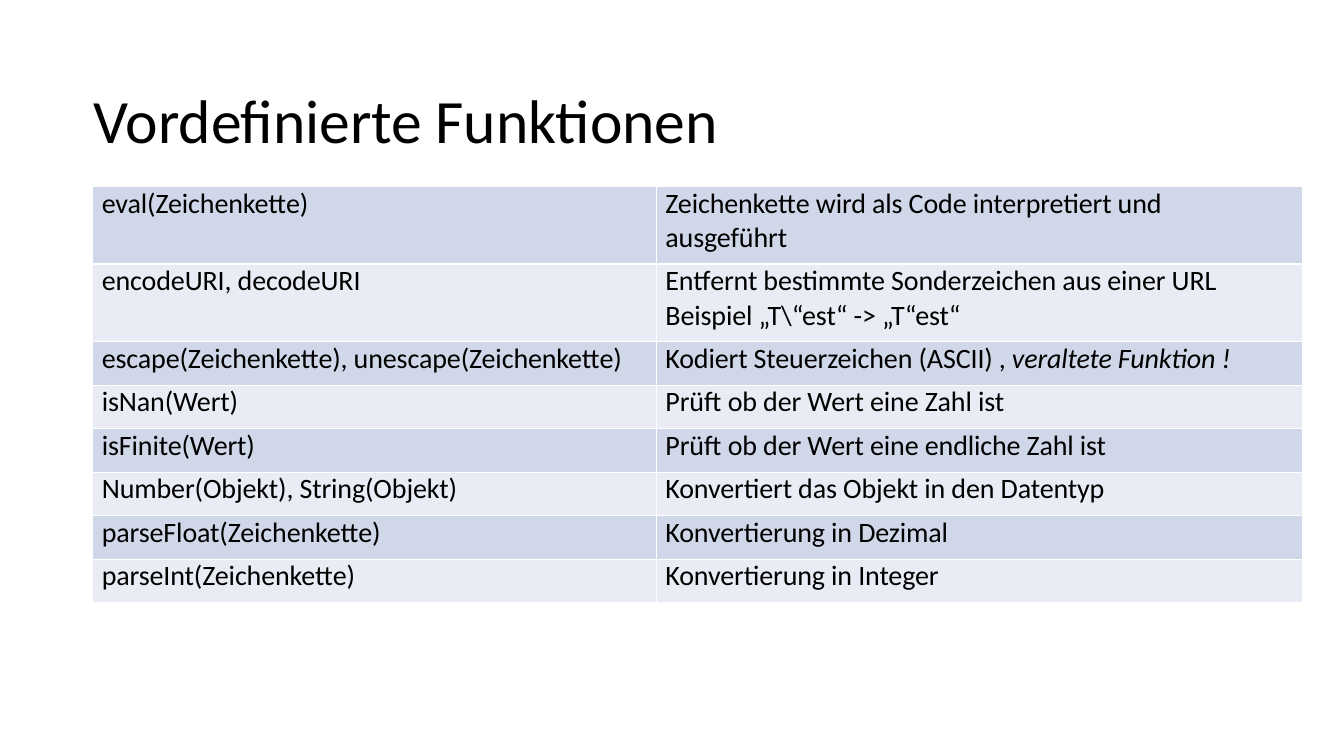
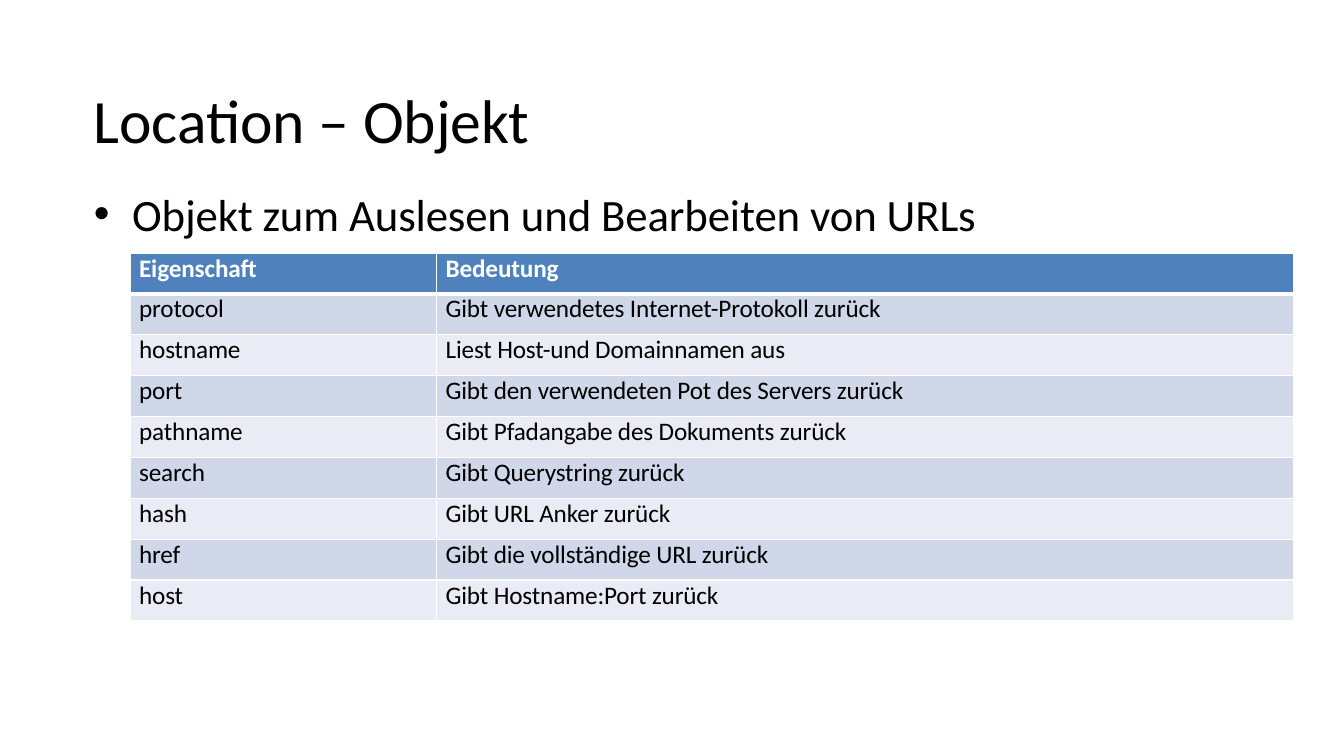
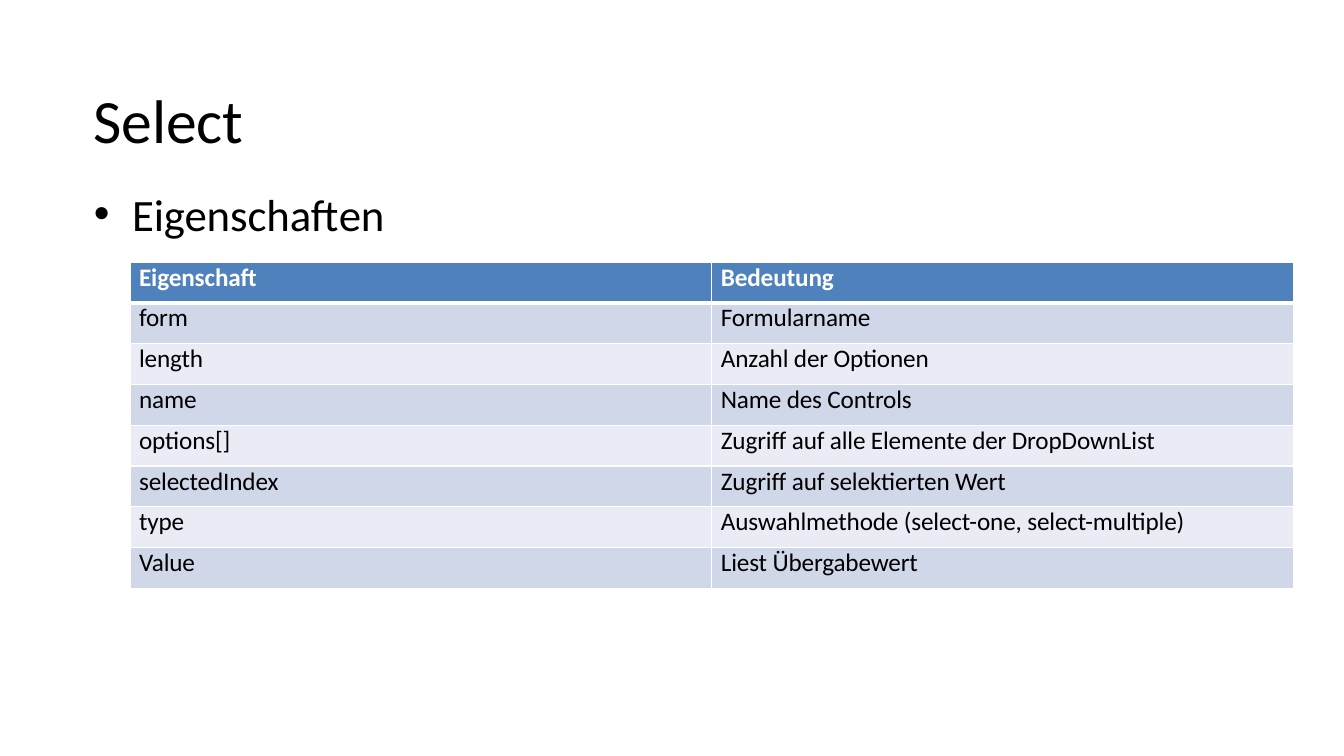
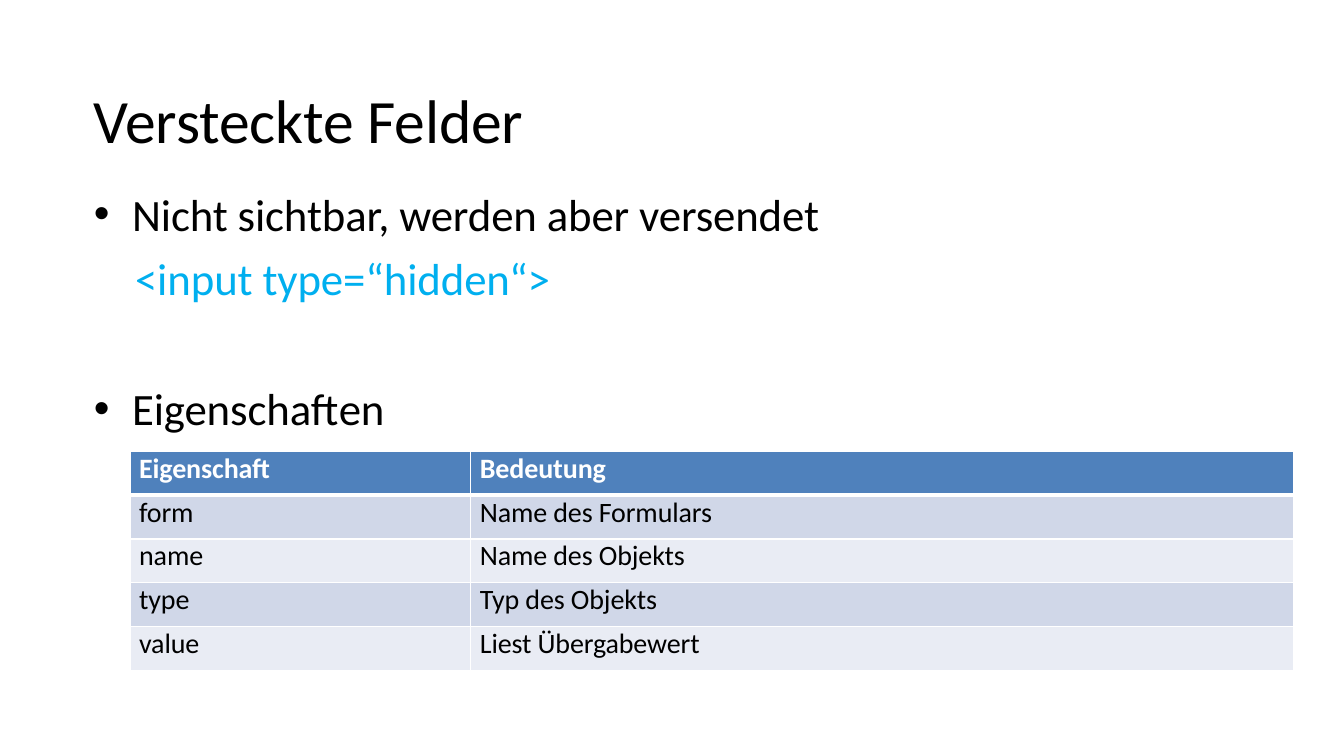
from lxml.etree import SubElement as Sub
from pptx import Presentation
from pptx.dml.color import RGBColor as RGB
from pptx.enum.text import MSO_ANCHOR as Anchor
from pptx.oxml.ns import qn
from pptx.util import Inches, Pt

FONT = "Calibri"
BLACK = RGB(0x00, 0x00, 0x00)
WHITE = RGB(0xFF, 0xFF, 0xFF)
CYAN = RGB(0x00, 0xAF, 0xEF)
BLUE = RGB(0x4F, 0x81, 0xBC)
BANDS = RGB(0xD0, 0xD7, 0xE8), RGB(0xE9, 0xEC, 0xF4)
HEAD = ("Eigenschaft", "Bedeutung")
LEFT, TOP = 0.92, 1.85
TALL = 0.77

FUNCS = [
    ("eval(Zeichenkette)", "Zeichenkette wird als Code interpretiert und\vausgeführt"),
    ("encodeURI, decodeURI",
     "Entfernt bestimmte Sonderzeichen aus einer URL\vBeispiel „T\\“est“ -> „T“est“"),
    ("escape(Zeichenkette), unescape(Zeichenkette)",
     ("Kodiert Steuerzeichen (ASCII) , ", "veraltete Funktion !")),
    ("isNan(Wert)", "Prüft ob der Wert eine Zahl ist"),
    ("isFinite(Wert)", "Prüft ob der Wert eine endliche Zahl ist"),
    ("Number(Objekt), String(Objekt)", "Konvertiert das Objekt in den Datentyp"),
    ("parseFloat(Zeichenkette)", "Konvertierung in Dezimal"),
    ("parseInt(Zeichenkette)", "Konvertierung in Integer"),
]
PLACE = [
    HEAD,
    ("protocol", "Gibt verwendetes Internet-Protokoll zurück"),
    ("hostname", "Liest Host-und Domainnamen aus"),
    ("port", "Gibt den verwendeten Pot des Servers zurück"),
    ("pathname", "Gibt Pfadangabe des Dokuments zurück"),
    ("search", "Gibt Querystring zurück"),
    ("hash", "Gibt URL Anker zurück"),
    ("href", "Gibt die vollständige URL zurück"),
    ("host", "Gibt Hostname:Port zurück"),
]
SELECT = [
    HEAD,
    ("form", "Formularname"),
    ("length", "Anzahl der Optionen"),
    ("name", "Name des Controls"),
    ("options[]", "Zugriff auf alle Elemente der DropDownList"),
    ("selectedIndex", "Zugriff auf selektierten Wert"),
    ("type", "Auswahlmethode (select-one, select-multiple)"),
    ("Value", "Liest Übergabewert"),
]
HIDDEN = [
    HEAD,
    ("form", "Name des Formulars"),
    ("name", "Name des Objekts"),
    ("type", "Typ des Objekts"),
    ("value", "Liest Übergabewert"),
]


def write(para, text, size=32, color=BLACK, bold=False, italic=False):
    """Add text to a paragraph, with a line break at each vertical tab."""
    for i, line in enumerate(text.split("\v")):
        if i:
            para.add_line_break()
        run = para.add_run()
        run.text = line
        font = run.font
        font.name, font.size = FONT, Pt(size)
        font.bold, font.italic = bold, italic
        font.color.rgb = color
        font._element.set("spc", "-10")


def indent(para, left, hang=0, bullet=False):
    """Set the left indent, the hanging indent and the bullet."""
    props = para._p.get_or_add_pPr()
    props.set("marL", str(Inches(left)))
    props.set("indent", str(-Inches(hang)))
    if bullet:
        Sub(props, qn("a:buFont"), typeface="Arial")
        Sub(props, qn("a:buChar"), char="•")


def frame(slide, box, anchor=Anchor.TOP):
    """Add a wrapping text box without margins and return its frame."""
    text = slide.shapes.add_textbox(*map(Inches, box)).text_frame
    text.word_wrap = True
    text.vertical_anchor = anchor
    text.margin_left = text.margin_top = text.margin_right = text.margin_bottom = 0
    return text


def title(slide, text):
    """Place the slide title."""
    para = frame(slide, (LEFT, 0.5, 11.5, 1.35), Anchor.MIDDLE).paragraphs[0]
    indent(para, 0.01)
    write(para, text, size=44)


def body(slide, box, items):
    """Place body lines given as text, space before and code flag."""
    text = frame(slide, box)
    for i, (line, gap, code) in enumerate(items):
        para = text.add_paragraph() if i else text.paragraphs[0]
        if code:
            indent(para, 0.42)
        else:
            indent(para, 0.39, 0.38, True)
        if gap:
            para.space_before = Pt(gap)
        write(para, line, color=CYAN if code else BLACK)


def border(cell, **widths):
    """Draw the white cell borders, 1 pt wide unless a side says otherwise."""
    props = cell._tc.get_or_add_tcPr()
    for side in "LRTB":
        line = Sub(props, qn("a:ln" + side), w=str(Pt(widths.get(side, 1))))
        Sub(Sub(line, qn("a:solidFill")), qn("a:srgbClr"), val=str(WHITE))


def grid(slide, box, first, rows, size, head=True, tall=0):
    """Place a banded two-column table whose first column is given."""
    count = len(rows)
    table = slide.shapes.add_table(count, 2, *map(Inches, box)).table
    table.first_row = head
    table.horz_banding = False
    for col, width in zip(table.columns, (first, box[2] - first)):
        col.width = Inches(width)
    low = (box[3] - tall * TALL) / (count - tall)
    for r, row in enumerate(rows):
        table.rows[r].height = Inches(TALL if r < tall else low)
        top = head and r == 0
        for c, value in enumerate(row):
            cell = table.cell(r, c)
            cell.margin_left = Inches(0.09)
            cell.margin_top = cell.margin_right = cell.margin_bottom = 0
            border(cell, B=3 if top else 1, T=3 if head and r == 1 else 1)
            cell.fill.solid()
            cell.fill.fore_color.rgb = BLUE if top else BANDS[(r - head) % 2]
            parts = (value,) if isinstance(value, str) else value
            for i, part in enumerate(parts):
                write(cell.text_frame.paragraphs[0], part, size=size,
                      color=WHITE if top else BLACK, bold=top, italic=i > 0)


def main():
    """Build the four slides and save them."""
    deck = Presentation()
    deck.slide_width, deck.slide_height = Inches(13.33), Inches(7.5)

    def page(text):
        """Add a blank slide with a title."""
        slide = deck.slides.add_slide(deck.slide_layouts[6])
        title(slide, text)
        return slide

    slide = page("Vordefinierte Funktionen")
    grid(slide, (LEFT, TOP, 12, 4.13), 5.59, FUNCS, 20, head=False, tall=2)

    slide = page("Location – Objekt")
    body(slide, (LEFT, TOP, 9.5, 0.57),
         [("Objekt zum Auslesen und Bearbeiten von URLs", 0, False)])
    grid(slide, (1.29, 2.51, 11.54, 3.65), 3.04, PLACE, 18)

    slide = page("Select")
    body(slide, (LEFT, TOP, 3.5, 0.57), [("Eigenschaften", 0, False)])
    grid(slide, (1.29, 2.6, 11.54, 3.24), 5.77, SELECT, 18)

    slide = page("Versteckte Felder")
    body(slide, (LEFT, TOP, 8, 2.49), [
        ("Nicht sichtbar, werden aber versendet", 0, False),
        ("<input type=“hidden“>", 7.7, True),
        ("Eigenschaften", 54.4, False),
    ])
    grid(slide, (1.29, 4.48, 11.54, 2.17), 3.38, HIDDEN, 20)

    deck.save("out.pptx")


if __name__ == "__main__":
    main()
